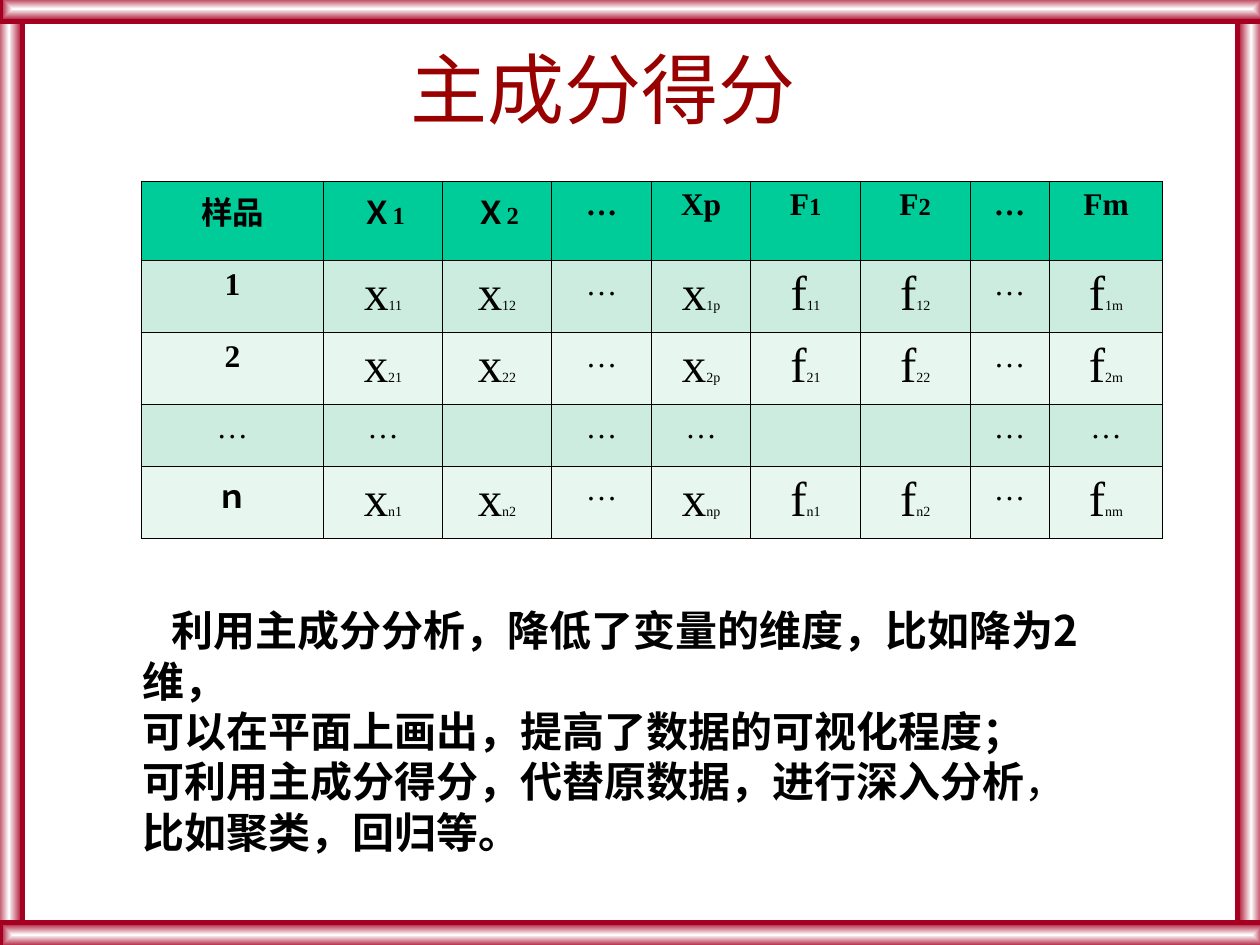
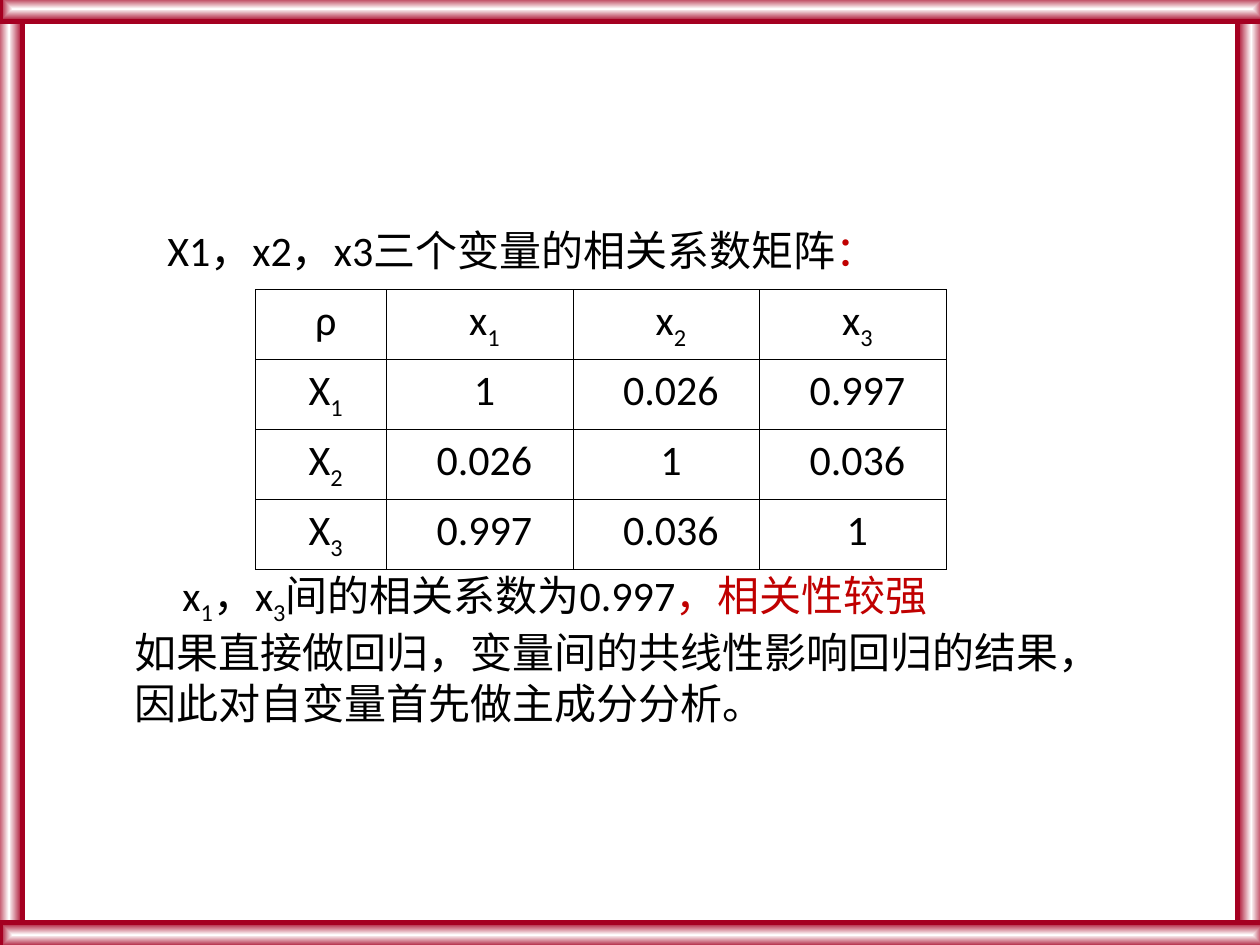
import pptx
import pptx.dml.color
import pptx.enum.shapes
import pptx.enum.text
import pptx.oxml
import pptx.oxml.ns
import pptx.util
from lxml import etree

Inches = pptx.util.Inches
Pt = pptx.util.Pt
ALIGN = pptx.enum.text.PP_ALIGN

# Shared look
COLORS = {
    "frame": "A50021", "glow": "FFFFFF", "title": "990000", "text": "000000",
    "accent": "C00000", "header": "00CC99", "odd": "CBECDE", "even": "E7F6EF",
}
SERIF, SANS, CJK = "Times New Roman", "Calibri", "Noto Sans CJK SC"
FRAME_BARS = [  # left, top, width, height
    (9.82, -0.03, 0.22, 7.5), (-0.04, 0, 0.22, 7.5),
    (0, -0.03, 10.04, 0.2), (0, 7.32, 10.04, 0.2),
]
STYLES = {
    "title": {"size": Pt(44), "name": SERIF, "color": "title"},
    "strong": {"size": Pt(24), "name": CJK, "bold": True},
    "plain": {"size": Pt(24), "name": CJK, "bold": False},
    "body": {"size": Pt(24), "name": SANS},
    "sub": {"size": Pt(24), "name": SANS, "baseline": -25000},
    "accent": {"size": Pt(24), "name": CJK, "color": "accent"},
}

# Slide 1: component scores; "|" separates a symbol from its index
SCORE_TITLE = [[("主成分得分", "title")]]
SCORE_ROWS = [
    ["样品", "Ｘ|1", "Ｘ|2", "…", "Xp", "F|1", "F|2", "…", "Fm"],
    ["1", "x|11", "x|12", "…", "x|1p", "f|11", "f|12", "…", "f|1m"],
    ["2", "x|21", "x|22", "…", "x|2p", "f|21", "f|22", "…", "f|2m"],
    ["…", "…", "", "…", "…", "", "", "…", "…"],
    ["ｎ", "x|n1", "x|n2", "…", "x|np", "f|n1", "f|n2", "…", "f|nm"],
]
SCORE_COLS = [1.45, 0.94, 0.87, 0.79, 0.79, 0.87, 0.87, 0.63, 0.9]
SCORE_HEIGHTS = [0.63, 0.57, 0.57, 0.49, 0.57]
SCORE_USES = [
    [("利用主成分分析，降低了变量的维度，比如降为2维，", "strong")],
    [("可以在平面上画出，提高了数据的可视化程度；", "strong")],
    [("可利用主成分得分，代替原数据，进行深入分析", "strong"), ("，", "plain")],
    [("比如聚类，回归等。", "strong")],
]

# Slide 2: correlation matrix
MATRIX_INTRO = [[("X1，x2，x3三个变量的相关系数矩阵", "body"), ("：", "accent")]]
MATRIX_ROWS = [
    ["ρ", "x|1", "x|2", "x|3"],
    ["X|1", "1", "0.026", "0.997"],
    ["X|2", "0.026", "1", "0.036"],
    ["X|3", "0.997", "0.036", "1"],
]
MATRIX_COLS = [1.04, 1.48, 1.48, 1.48]
MATRIX_HEIGHTS = [0.46] * 4
MATRIX_FINDING = [
    [("x", "body"), ("1", "sub"), ("，x", "body"), ("3", "sub"),
     ("间的相关系数为0.997", "body"), ("，相关性较强", "accent")],
    [("如果直接做回归，变量间的共线性影响回归的结果，因此对自变量首先做主成分分析。", "plain")],
]


def rgb(key):
    return pptx.dml.color.RGBColor.from_string(COLORS[key])


def add_run(paragraph, text, style):
    run = paragraph.add_run()
    run.text = text
    properties = run._r.get_or_add_rPr()
    run.font.color.rgb = rgb(style.get("color", "text"))
    for key, value in style.items():
        if key == "baseline":
            properties.set("baseline", str(value))
        elif key != "color":
            setattr(run.font, key, value)
    etree.SubElement(properties, pptx.oxml.ns.qn("a:ea")).set("typeface", CJK)


def add_text(slide, box, paragraphs, indent=0, right=0.1, **layout):
    frame = slide.shapes.add_textbox(*map(Inches, box)).text_frame
    frame.word_wrap = True
    frame.margin_right = Inches(right)
    for number, runs in enumerate(paragraphs):
        paragraph = frame.paragraphs[0] if number == 0 else frame.add_paragraph()
        for key, value in layout.items():
            setattr(paragraph, key, value)
        if number == 0 and indent:
            paragraph._p.get_or_add_pPr().set("indent", str(Inches(indent)))
        for text, style in runs:
            add_run(paragraph, text, STYLES[style])


def add_frame(slide):
    for bar in FRAME_BARS:
        shape = slide.shapes.add_shape(
            pptx.enum.shapes.MSO_SHAPE.RECTANGLE, *map(Inches, bar))
        shape.shadow.inherit = False
        shape.line.color.rgb = rgb("frame")
        shape.line.width = Pt(3)
        shape.fill.gradient()
        for stop, key in zip(shape.fill.gradient_stops, ("glow", "frame")):
            stop.color.rgb = rgb(key)
        # Glow spreads from the centre of the bar
        gradient = shape._element.spPr.find(pptx.oxml.ns.qn("a:gradFill"))
        gradient.remove(gradient.find(pptx.oxml.ns.qn("a:lin")))
        spread = etree.SubElement(gradient, pptx.oxml.ns.qn("a:path"), {"path": "rect"})
        etree.SubElement(spread, pptx.oxml.ns.qn("a:fillToRect"),
                         dict.fromkeys("ltrb", "50000"))


def add_borders(cell):
    for side in "LRTB":
        line = pptx.oxml.parse_xml(
            f'<a:ln{side} {pptx.oxml.ns.nsdecls("a")} w="{Pt(0.45)}"><a:solidFill>'
            f'<a:srgbClr val="{COLORS["text"]}"/></a:solidFill></a:ln{side}>')
        cell._tc.get_or_add_tcPr().append(line)


def add_grid(slide, left, top, rows, widths, heights, style_cell):
    table = slide.shapes.add_table(
        len(rows), len(widths), Inches(left), Inches(top),
        Inches(sum(widths)), Inches(sum(heights))).table
    table.first_row = table.horz_banding = False
    for column, width in zip(table.columns, widths):
        column.width = Inches(width)
    for row, height in zip(table.rows, heights):
        row.height = Inches(height)
    for r, row in enumerate(rows):
        for c, text in enumerate(row):
            cell = table.cell(r, c)
            add_borders(cell)
            paragraph = cell.text_frame.paragraphs[0]
            paragraph.alignment = ALIGN.CENTER
            styles = style_cell(cell, r, c, text)
            for part, style in zip(text.split("|"), styles):
                if part:
                    add_run(paragraph, part, style)


def style_score(cell, r, c, text):
    cell.fill.solid()
    cell.fill.fore_color.rgb = rgb("header" if r == 0 else "odd" if r % 2 else "even")
    bold = r == 0 or (c == 0 and text != "…")
    sizes = (28, 8) if r and "|" in text else (18, 14)
    return [{"size": Pt(size), "name": SERIF, "bold": bold} for size in sizes]


def style_matrix(cell, r, c, text):
    cell.fill.background()
    cell.margin_left, cell.margin_right = Inches(0.14), Inches(0.07)
    return STYLES["body"], STYLES["sub"]


def main():
    deck = pptx.Presentation()
    deck.slide_width, deck.slide_height = Inches(10), Inches(7.5)
    scores, matrix = (deck.slides.add_slide(deck.slide_layouts[6]) for _ in range(2))
    for slide in (scores, matrix):
        add_frame(slide)

    # Component scores
    add_grid(scores, 1.12, 1.44, SCORE_ROWS, SCORE_COLS, SCORE_HEIGHTS, style_score)
    add_text(scores, (1.03, 4.75, 8.44, 1.7), SCORE_USES, indent=0.23, right=0.65)
    add_text(scores, (0.2, 0.42, 9.17, 0.76), SCORE_TITLE,
             alignment=ALIGN.CENTER, line_spacing=0.8)

    # Correlation matrix
    add_text(matrix, (1.23, 1.73, 6.89, 0.5), MATRIX_INTRO)
    add_grid(matrix, 2.03, 2.3, MATRIX_ROWS, MATRIX_COLS, MATRIX_HEIGHTS, style_matrix)
    add_text(matrix, (0.97, 4.47, 8.03, 1.36), MATRIX_FINDING, indent=0.38)

    deck.save("out.pptx")


if __name__ == "__main__":
    main()
